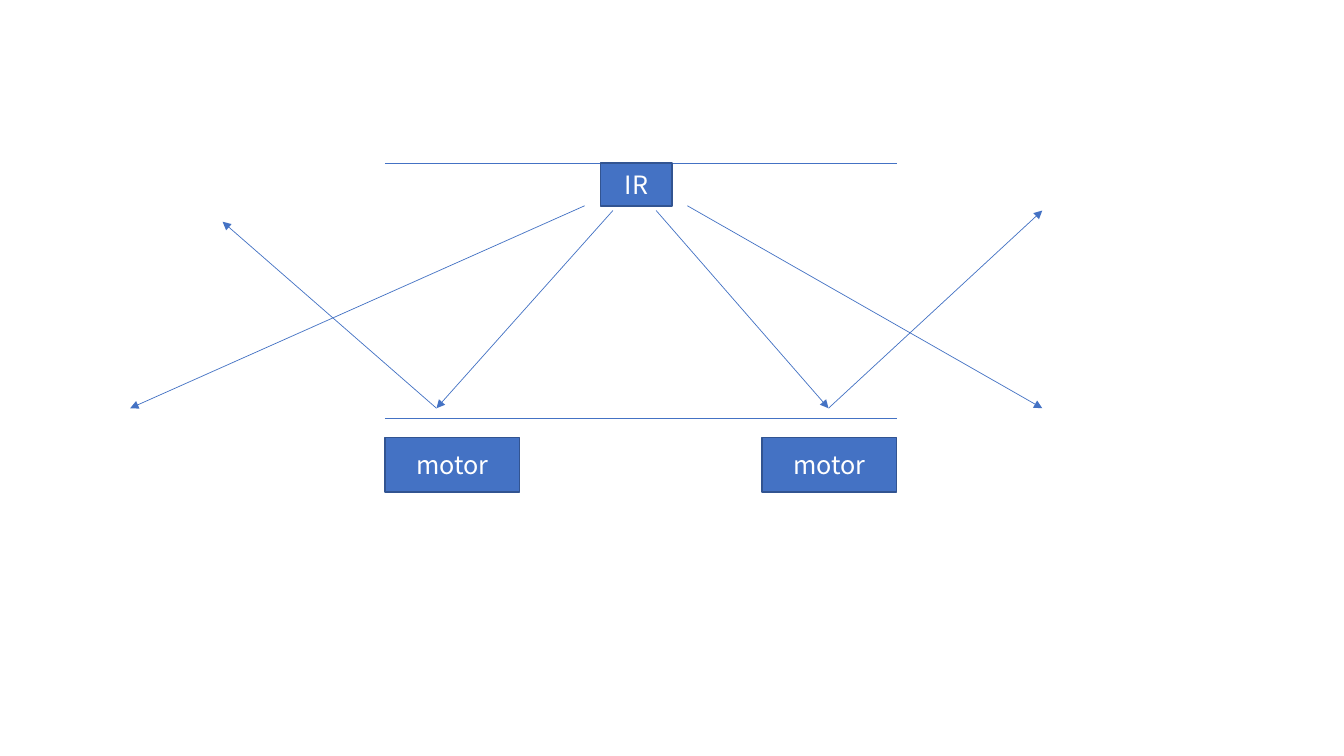
import pptx
import pptx.util
import pptx.dml.color
import pptx.enum.shapes
import pptx.enum.text
import pptx.oxml.ns
from lxml import etree

Pt = pptx.util.Pt
COLORS = {"blue": "4472C4", "edge": "325491", "label": "FFFFFF"}
FONT = "Noto Sans CJK KR"


def rgb(name):
    return pptx.dml.color.RGBColor.from_string(COLORS[name])


def add_block(slide, label, left, top, width, height):
    block = slide.shapes.add_shape(
        pptx.enum.shapes.MSO_SHAPE.RECTANGLE, Pt(left), Pt(top), Pt(width), Pt(height))
    block.shadow.inherit = False
    block.fill.solid()
    block.fill.fore_color.rgb = rgb("blue")
    block.line.color.rgb = rgb("edge")
    block.line.width = Pt(1)
    block.text_frame.vertical_anchor = pptx.enum.text.MSO_ANCHOR.MIDDLE
    caption = block.text_frame.paragraphs[0]
    caption.text = label
    caption.alignment = pptx.enum.text.PP_ALIGN.CENTER
    caption.font.size = Pt(18)
    caption.font.name = FONT
    caption.font.color.rgb = rgb("label")


def add_ray(slide, start, end, arrow=True):
    ray = slide.shapes.add_connector(
        pptx.enum.shapes.MSO_CONNECTOR.STRAIGHT, *(Pt(v) for v in (*start, *end)))
    ray.line.color.rgb = rgb("blue")
    ray.line.width = Pt(0.5)
    qn = pptx.oxml.ns.qn
    if arrow:
        etree.SubElement(ray.line._get_or_add_ln(), qn("a:tailEnd"), type="triangle")
    etree.SubElement(ray._element.spPr, qn("a:effectLst"))


def draw_plates(slide, left, top, width, height):
    for y in (top, top + height):
        add_ray(slide, (left, y), (left + width, y), arrow=False)


def draw_emitter(slide, left, top):
    add_block(slide, "IR", left + 154, top, 51.2, 30.5)


def draw_rays(slide, left, top):
    left_bounce, right_bounce = (36.8, 175), (316.8, 175)
    rays = [
        ((142.6, 30.4), (-182, 175)),
        ((216, 30.4), (469.5, 175)),
        ((162.8, 33.8), left_bounce),
        (left_bounce, (-116, 41.8)),
        ((193.7, 33.8), right_bounce),
        (right_bounce, (469.5, 33.8)),
    ]
    for start, end in rays:
        add_ray(slide, *((left + x, top + y) for x, y in (start, end)))


def draw_motors(slide, left, top, width, height):
    motor_width = 96
    for x in (left, left + width - motor_width):
        add_block(slide, "motor", x, top, motor_width, height)


def draw_sensor(slide, left, top, width):
    draw_plates(slide, left, top, width, 182.2)
    draw_emitter(slide, left, top)
    draw_rays(slide, left, top)
    draw_motors(slide, left, top + 195.8, width, 39)


deck = pptx.Presentation()
deck.slide_width, deck.slide_height = Pt(960), Pt(540)
sensor_slide = deck.slides.add_slide(deck.slide_layouts[6])
draw_sensor(sensor_slide, 275, 116.6, 365.4)
deck.save("out.pptx")
